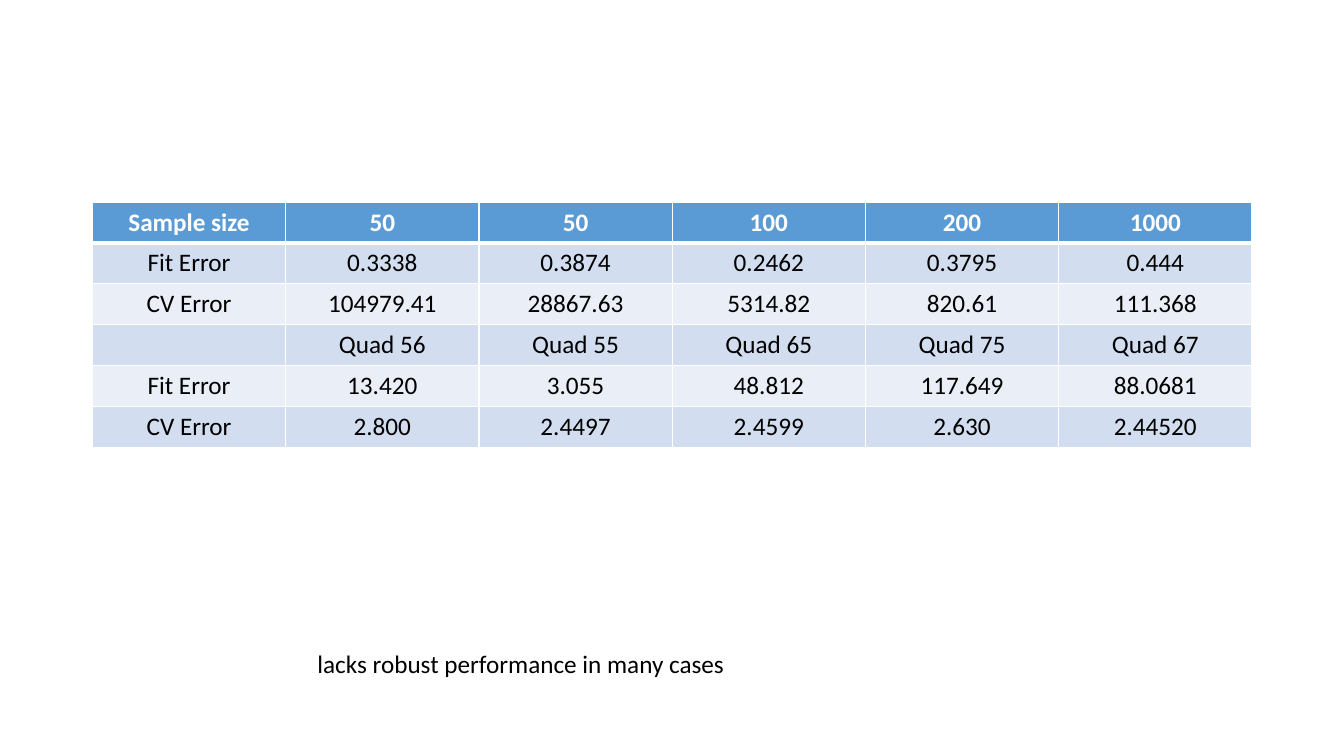
"""Build a slide with a table of fit and cross-validation errors."""
from lxml.etree import SubElement
from pptx import Presentation
from pptx.dml.color import RGBColor
from pptx.enum.text import MSO_ANCHOR, PP_ALIGN
from pptx.oxml.ns import qn
from pptx.util import Cm, Pt

ROWS = [
    ("Sample size", "50", "50", "100", "200", "1000"),
    ("Fit Error", "0.3338", "0.3874", "0.2462", "0.3795", "0.444"),
    ("CV Error", "104979.41", "28867.63", "5314.82", "820.61", "111.368"),
    ("", "Quad 56", "Quad 55", "Quad 65", "Quad 75", "Quad 67"),
    ("Fit Error", "13.420", "3.055", "48.812", "117.649", "88.0681"),
    ("CV Error", "2.800", "2.4497", "2.4599", "2.630", "2.44520"),
]
NOTE = "lacks robust performance in many cases"
COLORS = {"head": "5B9BD5", "odd": "D2DEEF", "even": "EAEFF7",
          "white": "FFFFFF", "black": "000000"}
FONT = {"name": "Calibri", "size": Pt(18)}
COL, ROW = Cm(4.87), Cm(1.03)


def style(font, color, bold=False):
    for key, value in {**FONT, "bold": bold}.items():
        setattr(font, key, value)
    font.color.rgb = RGBColor.from_string(COLORS[color])


def border(cell, row):
    props = cell._tc.get_or_add_tcPr()
    thick = {0: "lnB", 1: "lnT"}.get(row)
    for side in ("lnL", "lnR", "lnT", "lnB"):
        width = Pt(3 if side == thick else 1)
        line = SubElement(props, qn("a:" + side), w=str(width))
        fill = SubElement(line, qn("a:solidFill"))
        SubElement(fill, qn("a:srgbClr"), val=COLORS["white"])


def draw_table(slide):
    count, wide = len(ROWS), len(ROWS[0])
    frame = slide.shapes.add_table(count, wide, Cm(2.33), Cm(5.09),
                                   COL * wide, ROW * count)
    table = frame.table
    for col in table.columns:
        col.width = COL
    for i, texts in enumerate(ROWS):
        table.rows[i].height = ROW
        band = "head" if i == 0 else "odd" if i % 2 else "even"
        for j, text in enumerate(texts):
            cell = table.cell(i, j)
            border(cell, i)
            cell.fill.solid()
            cell.fill.fore_color.rgb = RGBColor.from_string(COLORS[band])
            cell.vertical_anchor = MSO_ANCHOR.MIDDLE
            cell.text = text
            para = cell.text_frame.paragraphs[0]
            para.alignment = PP_ALIGN.CENTER
            for run in para.runs:
                style(run.font, "black" if i else "white", i == 0)


def draw_note(slide):
    box = slide.shapes.add_textbox(Cm(7.75), Cm(16.21), Cm(11.02), Cm(1.8))
    box.text_frame.word_wrap = False
    run = box.text_frame.paragraphs[0].add_run()
    run.text = NOTE
    style(run.font, "black")


def main():
    deck = Presentation()
    deck.slide_width, deck.slide_height = Cm(33.87), Cm(19.05)
    slide = deck.slides.add_slide(deck.slide_layouts[6])
    draw_table(slide)
    draw_note(slide)
    deck.save("out.pptx")


if __name__ == "__main__":
    main()
